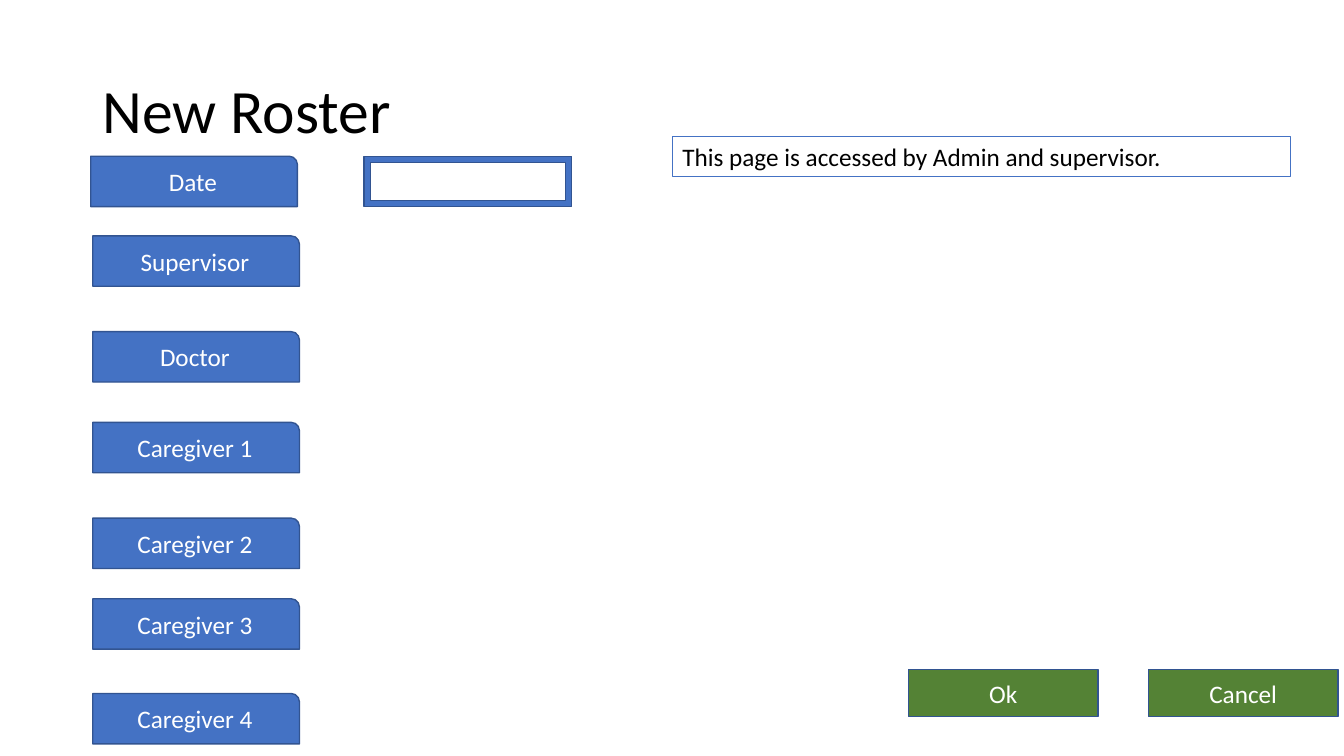
import pptx
import pptx.util
import pptx.dml.color
import pptx.enum.shapes
import pptx.enum.text

Inches = pptx.util.Inches
Pt = pptx.util.Pt
Shape = pptx.enum.shapes.MSO_SHAPE
Anchor = pptx.enum.text.MSO_ANCHOR
Align = pptx.enum.text.PP_ALIGN

COLORS = {
    "blue": "4472C4",
    "edge": "325491",
    "green": "548235",
    "white": "FFFFFF",
    "black": "000000",
}


class Page:
    """Holds the style and the current slide."""

    face = "Calibri"

    def __init__(self, slide):
        self.slide = slide

    def color(self, name):
        return pptx.dml.color.RGBColor.from_string(COLORS[name])

    def letter(self, frame, text, size, color, align, anchor):
        """Fill a text frame with one styled paragraph and return it."""
        frame.word_wrap = True
        frame.vertical_anchor = anchor
        para = frame.paragraphs[0]
        para.text = text
        para.alignment = align
        para.font.name = self.face
        para.font.size = Pt(size)
        para.font.color.rgb = self.color(color)
        return para

    def outline(self, shape, color, width):
        shape.line.color.rgb = self.color(color)
        shape.line.width = Pt(width)

    def label(self, box, text, size, anchor=Anchor.TOP, edge=None):
        """Add black left-aligned text, framed if an edge color is given."""
        shape = self.slide.shapes.add_textbox(*map(Inches, box))
        if edge:
            self.outline(shape, edge, 0.75)
        return self.letter(shape.text_frame, text, size, "black", Align.LEFT, anchor)

    def block(self, kind, box, fill, text=None):
        """Add a filled shape, with centered white text if any is given."""
        shape = self.slide.shapes.add_shape(kind, *map(Inches, box))
        shape.shadow.inherit = False
        shape.fill.solid()
        shape.fill.fore_color.rgb = self.color(fill)
        self.outline(shape, "edge", 1)
        if text:
            self.letter(shape.text_frame, text, 18, "white", Align.CENTER, Anchor.MIDDLE)


def main():
    deck = pptx.Presentation()
    deck.slide_width = Inches(13.33)
    deck.slide_height = Inches(7.5)
    page = Page(deck.slides.add_slide(deck.slide_layouts[6]))

    title = page.label((0.92, 0.4, 11.5, 1.45), "New Roster", 44, Anchor.MIDDLE)
    title.line_spacing = 0.9

    fields = [
        ("Date", 0.9, 1.55),
        ("Supervisor", 0.92, 2.34),
        ("Doctor", 0.92, 3.29),
        ("Caregiver 1", 0.92, 4.19),
        ("Caregiver 2", 0.92, 5.14),
        ("Caregiver 3", 0.92, 5.94),
        ("Caregiver 4", 0.92, 6.88),
    ]
    for text, left, top in fields:
        page.block(Shape.ROUND_1_RECTANGLE, (left, top, 2.05, 0.5), "blue", text)
    page.block(Shape.FRAME, (3.61, 1.55, 2.06, 0.5), "blue")

    for text, left in [("Ok", 9.01), ("Cancel", 11.39)]:
        page.block(Shape.RECTANGLE, (left, 6.64, 1.88, 0.47), "green", text)

    note = "This page is accessed by Admin and supervisor."
    page.label((6.67, 1.35, 6.13, 0.4), note, 18, edge="blue")

    deck.save("out.pptx")


if __name__ == "__main__":
    main()
